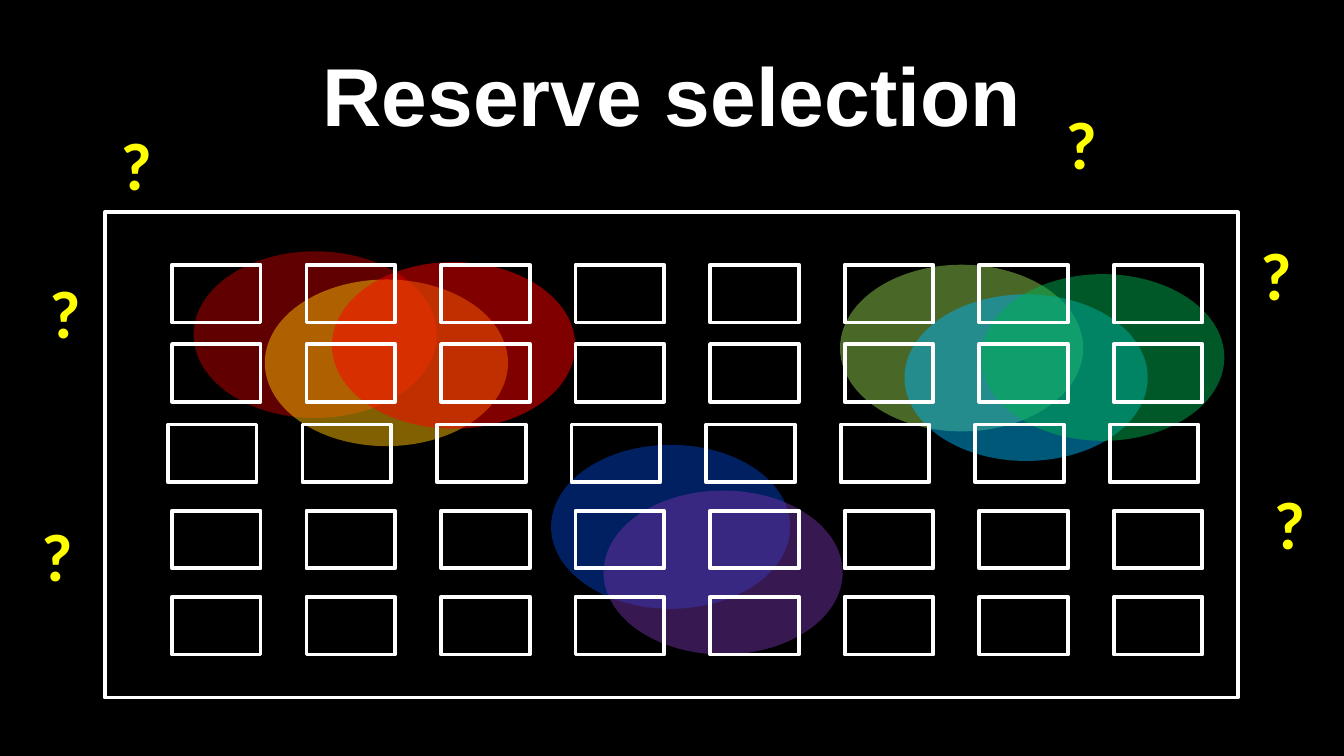
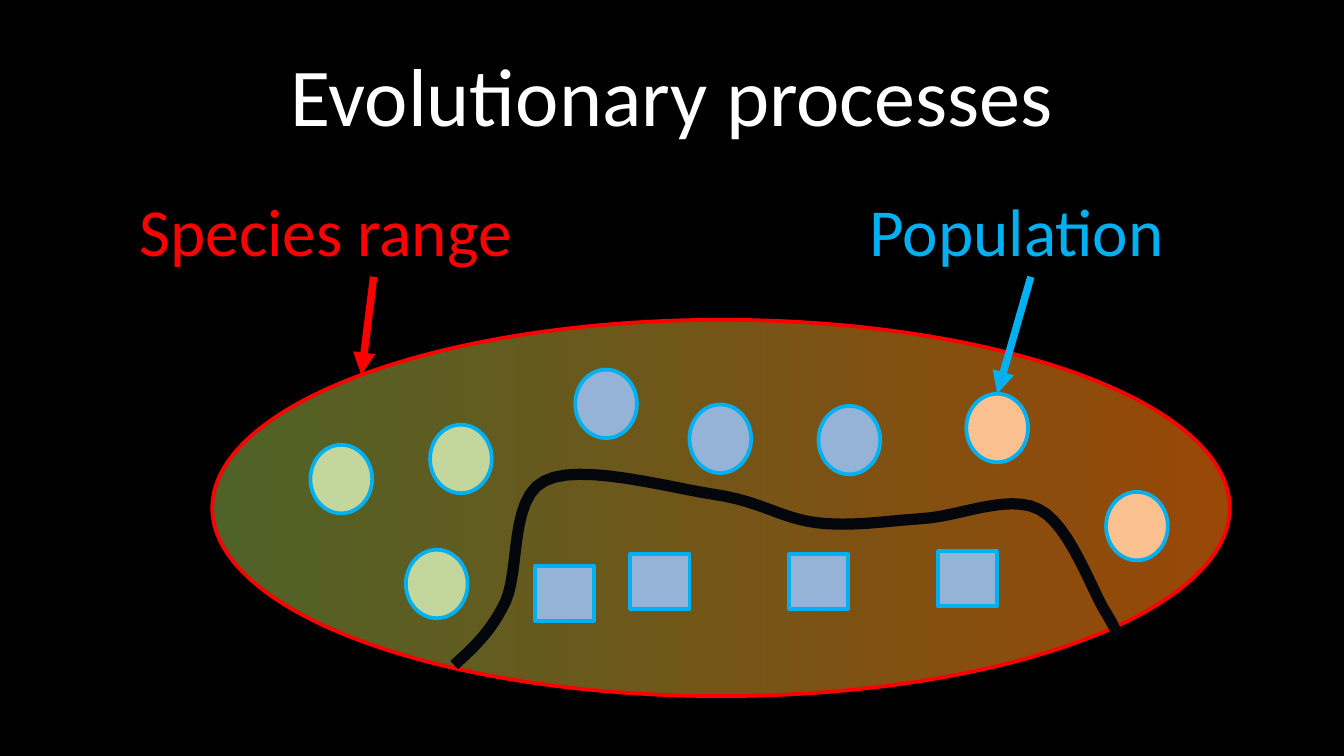
from typing import NamedTuple, Optional

import pptx
import pptx.dml.color
import pptx.enum.shapes
import pptx.enum.text
import pptx.oxml
import pptx.oxml.ns
import pptx.util
from lxml import etree

RGBColor = pptx.dml.color.RGBColor
MSO_SHAPE = pptx.enum.shapes.MSO_SHAPE

BLACK = RGBColor(0x00, 0x00, 0x00)
WHITE = RGBColor(0xFF, 0xFF, 0xFF)
YELLOW = RGBColor(0xFF, 0xFF, 0x00)
RED = RGBColor(0xFF, 0x00, 0x00)
DARK_RED = RGBColor(0xC0, 0x00, 0x00)
AMBER = RGBColor(0xFF, 0xC0, 0x00)
LIME = RGBColor(0x92, 0xD0, 0x50)
SKY = RGBColor(0x00, 0xB0, 0xF0)
GREEN = RGBColor(0x00, 0xB0, 0x50)
BLUE = RGBColor(0x00, 0x41, 0xC4)
PURPLE = RGBColor(0x70, 0x30, 0xA0)
OLIVE = RGBColor(0x4F, 0x62, 0x28)
RUST = RGBColor(0x98, 0x48, 0x07)
PALE_GREEN = RGBColor(0xC3, 0xD6, 0x9B)
PALE_BLUE = RGBColor(0x95, 0xB3, 0xD7)
PALE_ORANGE = RGBColor(0xFA, 0xC0, 0x90)
INK = RGBColor(0x03, 0x07, 0x0C)

SLIDE_W, SLIDE_H = pptx.util.Inches(10), pptx.util.Inches(5.625)
COLUMNS = 100  # square grid: every length below is in columns of this grid
BODY_FONT = "Calibri"


class Box(NamedTuple):
    x: float
    y: float
    w: float
    h: float


class Item(NamedTuple):
    """A coloured object whose size is shared by its group."""
    x: float
    y: float
    color: RGBColor


class Label(NamedTuple):
    text: str
    box: Box
    color: RGBColor


TITLE_BOX = Box(5, 2.3, 90, 9.4)

# Reserve selection
FRAME = Box(7.8, 15.8, 84.3, 36.1)
CELL_W, CELL_H, CELL_STEP, CELLS_PER_ROW = 6.6, 4.3, 10.01, 8
CELL_ROWS = [(12.8, 19.7), (12.8, 25.6), (12.5, 31.6), (12.8, 38), (12.8, 44.4)]
SOUTH_SIZE, NORTH_SIZE = (17.8, 12.2), (18.1, 12.4)
SOUTH_RANGES = [Item(41, 33.1, BLUE), Item(44.9, 36.5, PURPLE)]
NORTH_RANGES = [
    Item(14.4, 18.7, DARK_RED), Item(19.7, 20.8, AMBER), Item(24.7, 19.5, RED),
    Item(62.5, 19.7, LIME), Item(67.3, 21.9, SKY), Item(73, 20.4, GREEN),
]
QUESTION_MARKS = [(8, 8.7), (2.7, 19.7), (2.1, 37.8),
                  (78.3, 7.1), (92.8, 16.9), (93.8, 35.4)]

# Evolutionary processes
SPECIES_RANGE = Box(15.8, 23.8, 75.7, 28)
RANGE_LABEL = Label("Species range", Box(9.4, 13.6, 36.8, 7), RED)
POPULATION_LABEL = Label("Population", Box(63.7, 13.6, 26, 7), SKY)
ROUND_SIZE, SQUARE_SIZE = (4.6, 5.1), (4.4, 4.1)
POINTED_POPULATION = Item(71.9, 29.3, PALE_ORANGE)
ROUND_POPULATIONS = [
    Item(23.1, 33.1, PALE_GREEN), Item(30.2, 40.9, PALE_GREEN), Item(32, 31.6, PALE_GREEN),
    Item(42.8, 27.5, PALE_BLUE), Item(51.3, 30.1, PALE_BLUE), Item(60.9, 30.2, PALE_BLUE),
    Item(82.3, 36.6, PALE_ORANGE),
]
SQUARE_POPULATIONS = [Item(x, y, PALE_BLUE) for x, y in
                      [(39.8, 42.1), (46.9, 41.2), (69.8, 41), (58.7, 41.2)]]
BARRIER_START = (33.8, 49.5)
BARRIER_CURVES = [  # two control points and an end point each
    ((35.1, 48.3), (36.5, 47.1), (37.6, 44.8)),
    ((38.7, 42.5), (37.9, 37.1), (40.5, 35.8)),
    ((43.1, 34.4), (49.8, 36.3), (53.2, 36.8)),
    ((56.6, 37.3), (58.2, 38.6), (60.8, 38.9)),
    ((63.3, 39.2), (65.7, 38.8), (68.5, 38.6)),
    ((71.2, 38.5), (75, 36.7), (77.3, 37.9)),
    ((79.6, 39), (81.3, 44.1), (82.3, 45.6)),
    ((83.2, 47.1), (83, 47), (82.9, 47)),
]
CURVE_STEPS = 12


def grid(value: float) -> int:
    return pptx.util.Emu(round(value * SLIDE_W / COLUMNS))


def place(box: Box) -> list[int]:
    return [grid(v) for v in box]


def style_text(shape, text: str, size: float, color: RGBColor,
               font: str = BODY_FONT, bold: bool = False) -> None:
    shape.text_frame.text = text
    f = shape.text_frame.paragraphs[0].runs[0].font
    f.size, f.name, f.bold = pptx.util.Pt(size), font, bold
    f.color.rgb = color


def set_line(shape, color: Optional[RGBColor], width: float = 2) -> None:
    if color is None:
        shape.line.fill.background()
    else:
        shape.line.color.rgb = color
        shape.line.width = pptx.util.Pt(width)


def add_slide(prs, title: str, font: str = BODY_FONT, bold: bool = False):
    s = prs.slides.add_slide(prs.slide_layouts[5])
    t = s.shapes.title
    t.left, t.top, t.width, t.height = place(TITLE_BOX)
    style_text(t, title, 44, WHITE, font, bold)
    t.text_frame.vertical_anchor = pptx.enum.text.MSO_ANCHOR.MIDDLE
    t.text_frame.paragraphs[0].alignment = pptx.enum.text.PP_ALIGN.CENTER
    return s


def add_shape(s, kind, box: Box, fill: Optional[RGBColor] = None,
              line: Optional[RGBColor] = None, alpha: Optional[int] = None):
    """Add a preset shape; alpha is the fill's opacity in percent."""
    sp = s.shapes.add_shape(kind, *place(box))
    sp.shadow.inherit = False
    set_line(sp, line)
    if fill is None:
        sp.fill.background()
    else:
        sp.fill.solid()
        sp.fill.fore_color.rgb = fill
    if alpha is not None:
        clr = sp.fill._xPr.find(".//" + pptx.oxml.ns.qn("a:srgbClr"))
        etree.SubElement(clr, pptx.oxml.ns.qn("a:alpha"), val=str(alpha * 1000))
    return sp


def add_items(s, kind, items: list[Item], size: tuple[float, float],
              line: Optional[RGBColor] = None, alpha: Optional[int] = None) -> list:
    return [add_shape(s, kind, Box(i.x, i.y, *size), i.color, line, alpha) for i in items]


def add_label(s, label: Label, bold: bool = False, wrap: bool = True):
    tb = s.shapes.add_textbox(*place(label.box))
    tb.text_frame.word_wrap = wrap
    style_text(tb, label.text, 36, label.color, bold=bold)
    return tb


def add_arrow(s, label, target, site: int, end: tuple[int, int], color: RGBColor) -> None:
    """Join the label's bottom to a connection site of the target, found at end."""
    c = s.shapes.add_connector(pptx.enum.shapes.MSO_CONNECTOR.STRAIGHT, 0, 0, *end)
    c.begin_connect(label, 2)
    c.end_connect(target, site)
    c.end_x, c.end_y = end
    set_line(c, color, 4)
    etree.SubElement(c.line._get_or_add_ln(), pptx.oxml.ns.qn("a:tailEnd"), type="triangle")
    etree.SubElement(c._element.spPr, pptx.oxml.ns.qn("a:effectLst"))


def curve_points() -> list[tuple[int, int]]:
    """Sample the barrier's cubic curves."""
    points, p0 = [], BARRIER_START
    for p1, p2, p3 in BARRIER_CURVES:
        for step in range(1, CURVE_STEPS + 1):
            t = step / CURVE_STEPS
            u = 1 - t
            points.append(tuple(
                grid(u**3 * a + 3 * u * u * t * b + 3 * u * t * t * c + t**3 * d)
                for a, b, c, d in zip(p0, p1, p2, p3)))
        p0 = p3
    return points


def add_barrier(s) -> None:
    builder = s.shapes.build_freeform(*map(grid, BARRIER_START))
    builder.add_line_segments(curve_points(), close=False)
    sp = builder.convert_to_shape()
    sp.shadow.inherit = False
    sp.fill.background()
    set_line(sp, INK, 6)


def reserve_selection(prs) -> None:
    s = add_slide(prs, "Reserve selection", "Arial", True)
    add_items(s, MSO_SHAPE.OVAL, SOUTH_RANGES, SOUTH_SIZE, alpha=50)
    add_items(s, MSO_SHAPE.OVAL, NORTH_RANGES, NORTH_SIZE, alpha=50)
    add_shape(s, MSO_SHAPE.RECTANGLE, FRAME, line=WHITE)
    for left, top in CELL_ROWS:
        for col in range(CELLS_PER_ROW):
            cell = Box(left + col * CELL_STEP, top, CELL_W, CELL_H)
            add_shape(s, MSO_SHAPE.RECTANGLE, cell, line=WHITE)
    for x, y in QUESTION_MARKS:
        add_label(s, Label("?", Box(x, y, 4.3, 7), YELLOW), bold=True, wrap=False)


def evolutionary_processes(prs) -> None:
    s = add_slide(prs, "Evolutionary processes")
    range_label = add_label(s, RANGE_LABEL)
    species = add_shape(s, MSO_SHAPE.OVAL, SPECIES_RANGE, line=RED)
    species.fill.gradient()
    species.fill.gradient_angle = 0
    for stop, color in zip(species.fill.gradient_stops, (OLIVE, RUST)):
        stop.color.rgb = color
    add_items(s, MSO_SHAPE.OVAL, ROUND_POPULATIONS, ROUND_SIZE, SKY)
    pointed, = add_items(s, MSO_SHAPE.OVAL, [POINTED_POPULATION], ROUND_SIZE, SKY)
    diagonal = (1 - 0.5 ** 0.5) / 2  # the oval's upper left site, as a share of its size
    rim = (species.left + round(species.width * diagonal),
           species.top + round(species.height * diagonal))
    add_arrow(s, range_label, species, 1, rim, RED)
    population_label = add_label(s, POPULATION_LABEL)
    top = (pointed.left + pointed.width // 2, pointed.top)
    add_arrow(s, population_label, pointed, 0, top, SKY)
    add_barrier(s)
    add_items(s, MSO_SHAPE.RECTANGLE, SQUARE_POPULATIONS, SQUARE_SIZE, SKY)


def main() -> None:
    prs = pptx.Presentation()
    prs.slide_width, prs.slide_height = SLIDE_W, SLIDE_H
    background = prs.slide_master.background.fill
    background.solid()
    background.fore_color.rgb = BLACK
    reserve_selection(prs)
    evolutionary_processes(prs)
    prs.save("out.pptx")


if __name__ == "__main__":
    main()
